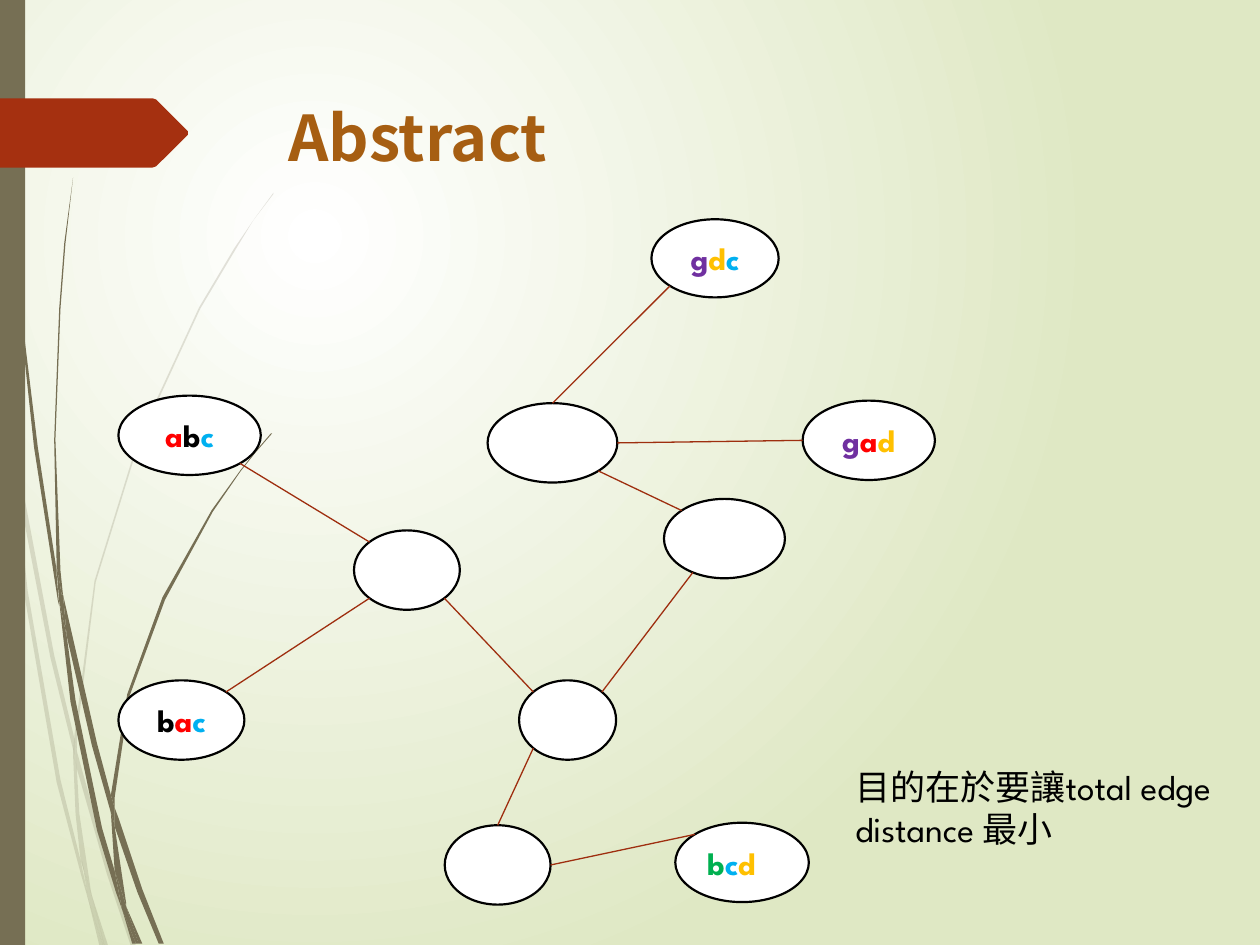
from dataclasses import dataclass
from math import cos, pi, sin

from lxml import etree
from pptx import Presentation
from pptx.dml.color import RGBColor
from pptx.enum.shapes import MSO_CONNECTOR, MSO_SHAPE
from pptx.enum.text import MSO_ANCHOR, MSO_AUTO_SIZE, PP_ALIGN
from pptx.oxml.ns import qn
from pptx.util import Inches, Pt

OVAL, RECT = MSO_SHAPE.OVAL, MSO_SHAPE.RECTANGLE
LINE = MSO_CONNECTOR.STRAIGHT
LEFT, CENTER = PP_ALIGN.LEFT, PP_ALIGN.CENTER
TOP, MIDDLE = MSO_ANCHOR.TOP, MSO_ANCHOR.MIDDLE
FIT, FIXED = MSO_AUTO_SIZE.SHAPE_TO_FIT_TEXT, MSO_AUTO_SIZE.NONE
LATIN, HAN = "League Spartan", "Noto Sans CJK SC"

COLORS = {
    "white": "FFFFFF", "black": "000000", "sage": "DFE8C4", "olive": "766F54",
    "rust": "A53010", "edge": "9E2E0F", "title": "A65E12", "red": "FF0000",
    "blue": "00B0F0", "gold": "FFC000", "violet": "7030A0", "green": "00B050",
}


@dataclass
class Node:
    x: float
    y: float
    w: float
    h: float = 0.63
    word: str = ""
    hues: tuple = ()
    align: PP_ALIGN = CENTER

    def site(self, turn: float) -> tuple:
        angle = turn * pi / 4
        return (self.x + self.w / 2 * (1 - sin(angle)),
                self.y + self.h / 2 * (1 - cos(angle)))


@dataclass
class Edge:
    head: str
    start: float
    tail: str
    end: float


@dataclass
class Clump:
    alpha: int
    blades: list


NODES = {
    "abc": Node(0.94, 3.14, 1.13, word="abc", hues=("red", "black", "blue")),
    "west": Node(2.81, 4.21, 0.84),
    "north": Node(3.87, 3.2, 1.03),
    "bac": Node(0.94, 5.4, 1, word="bac", hues=("black", "red", "blue")),
    "east": Node(5.27, 3.96, 0.96),
    "gdc": Node(5.17, 1.74, 1.01, 0.62, "gdc", ("violet", "gold", "blue")),
    "gad": Node(6.37, 3.18, 1.05, word="gad", hues=("violet", "red", "gold")),
    "hub": Node(4.12, 5.4, 0.77),
    "south": Node(3.53, 6.55, 0.84),
    "bcd": Node(5.36, 6.53, 1.06, word="bcd", hues=("green", "blue", "gold"), align=LEFT),
}

EDGES = [
    Edge("abc", 5, "west", 1),
    Edge("bac", 7, "west", 3),
    Edge("west", 5, "hub", 1),
    Edge("hub", 7, "east", 3.3),
    Edge("north", 5, "east", 1),
    Edge("north", 6, "gad", 2),
    Edge("north", 0, "gdc", 3),
    Edge("hub", 3, "south", 0),
    Edge("south", 6, "bcd", 1),
]

PALE = Clump(20, [
    [(0.08, 3.5), (0.06, 3.22), (0, 2.82), (0, 2.99), (0.07, 3.44)],
    [(0.4, 5.22), (0.59, 5.99), (0.59, 5.86), (0.43, 5.2), (0.1, 3.45), (0.12, 3.76)],
    [(0.64, 6.07), (0.61, 5.96), (0.61, 6.1), (0.85, 6.94), (1.04, 7.51), (1.08, 7.51),
     (0.88, 6.92)],
    [(0.83, 7.51), (0.86, 7.51), (0.73, 7.11)],
    [(0.64, 6.83), (0.48, 6.19), (0.22, 4.69), (0.12, 3.76), (0.08, 3.5), (0.19, 4.7),
     (0.45, 6.21), (0.64, 6.93), (0.7, 7.14), (0.69, 7.07)],
    [(0.58, 5.99), (0.6, 6.46), (0.64, 6.83), (0.67, 6.92), (0.73, 7.11), (0.72, 7.06),
     (0.63, 6.46), (0.61, 6.1), (0.61, 6.08)],
    [(0.61, 5.84), (0.76, 4.62), (1.11, 3.49), (1.59, 2.45), (1.87, 1.98), (2.01, 1.75),
     (2.17, 1.54), (2.17, 1.53), (2.01, 1.75), (1.86, 1.97), (1.58, 2.44), (1.1, 3.48),
     (0.75, 4.61), (0.59, 5.84), (0.59, 5.86), (0.61, 5.96)],
    [(0.7, 7.14), (0.79, 7.51), (0.82, 7.51)],
    [(0.61, 6.08), (0.61, 6.1), (0.61, 5.96), (0.59, 5.86), (0.58, 5.99)],
    [(0.67, 6.92), (0.65, 6.83), (0.69, 7.07), (0.7, 7.14), (0.82, 7.51), (0.83, 7.51),
     (0.73, 7.11)],
])

DARK = Clump(100, [
    [(0.05, 1.1), (0.14, 2.33), (0.27, 3.55), (0.46, 4.77), (0.47, 4.81), (0.45, 4.57),
     (0.45, 4.53), (0.3, 3.55), (0.15, 2.32), (0.06, 1.09), (0.04, 0.48), (0.03, 0),
     (0.02, 0), (0.03, 0.48)],
    [(0.73, 5.92), (0.88, 6.45), (0.88, 6.31), (0.77, 5.9), (0.5, 4.72), (0.53, 5.05)],
    [(0.94, 6.49), (0.91, 6.41), (0.91, 6.56), (1.09, 7.08), (1.26, 7.49), (1.3, 7.49),
     (1.13, 7.06)],
    [(0.91, 6.91), (0.81, 6.57), (0.6, 5.56), (0.53, 5.05), (0.47, 4.77), (0.56, 5.57),
     (0.77, 6.59), (0.92, 7.08), (0.97, 7.22), (0.96, 7.17)],
    [(0.5, 4.72), (0.48, 4.53), (0.44, 3.49), (0.48, 2.45), (0.52, 1.93), (0.58, 1.41),
     (0.51, 1.93), (0.47, 2.45), (0.43, 3.49), (0.45, 4.49), (0.49, 4.72)],
    [(1.1, 7.49), (1.13, 7.49), (1, 7.19)],
    [(0.47, 4.77), (0.53, 5.05), (0.5, 4.72), (0.49, 4.72), (0.45, 4.49), (0.45, 4.53)],
    [(0.91, 6.33), (1.03, 5.52), (1.31, 4.76), (1.69, 4.06), (1.91, 3.74), (2.03, 3.59),
     (2.16, 3.44), (2.15, 3.44), (2.03, 3.58), (1.91, 3.73), (1.68, 4.05), (1.29, 4.74),
     (1.01, 5.51), (0.88, 6.31), (0.91, 6.41)],
    [(0.97, 7.22), (1.05, 7.49), (1.08, 7.49)],
    [(0.88, 6.45), (0.91, 6.91), (0.96, 7.06), (1, 7.19), (1, 7.16), (0.91, 6.56),
     (0.9, 6.51)],
    [(0.88, 6.45), (0.9, 6.51), (0.91, 6.56), (0.91, 6.41), (0.88, 6.31), (0.88, 6.33)],
    [(0.96, 7.06), (0.91, 6.91), (0.96, 7.17), (0.97, 7.22), (1.08, 7.49), (1.1, 7.49),
     (1, 7.19)],
])

FLAG = [(1.49, 1.07), (1.24, 1.32), (1.21, 1.33), (0, 1.33), (0, 0.78), (1.21, 0.78),
        (1.24, 0.79), (1.49, 1.04)]


def rgb(name: str) -> RGBColor:
    return RGBColor.from_string(COLORS[name])


def box(x: float, y: float, w: float, h: float) -> tuple:
    return Inches(x), Inches(y), Inches(w), Inches(h)


def paint(shape, name: str) -> None:
    shape.shadow.inherit = False
    shape.fill.solid()
    shape.fill.fore_color.rgb = rgb(name)
    shape.line.fill.background()


def write(para, text: str, size: int, font: str, hue: str, bold: bool = False) -> None:
    run = para.add_run()
    run.text = text
    run.font.size, run.font.name, run.font.bold = Pt(size), font, bold
    run.font.color.rgb = rgb(hue)
    etree.SubElement(run.font._element, qn("a:ea")).set("typeface", HAN)


def draw_shape(slide, points: list, hue: str, alpha: int = 100) -> None:
    rim = [(Inches(x), Inches(y)) for x, y in points]
    pen = slide.shapes.build_freeform(*rim[0])
    pen.add_line_segments(rim[1:], close=True)
    shape = pen.convert_to_shape()
    paint(shape, hue)
    if alpha < 100:
        tint = shape._element.spPr.find(".//" + qn("a:srgbClr"))
        etree.SubElement(tint, qn("a:alpha")).set("val", str(alpha * 1000))


def draw_node(slide, node: Node) -> None:
    oval = slide.shapes.add_shape(OVAL, *box(node.x, node.y, node.w, node.h))
    paint(oval, "white")
    oval.line.color.rgb, oval.line.width = rgb("black"), Pt(1.25)
    oval.text_frame.vertical_anchor = MIDDLE
    para = oval.text_frame.paragraphs[0]
    para.alignment = node.align
    for char, hue in zip(node.word, node.hues):
        write(para, char, 18, LATIN, hue, True)


def draw_edge(slide, edge: Edge) -> None:
    ends = NODES[edge.head].site(edge.start) + NODES[edge.tail].site(edge.end)
    line = slide.shapes.add_connector(LINE, *map(Inches, ends))
    line.line.color.rgb, line.line.width = rgb("edge"), Pt(0.75)
    etree.SubElement(line._element.spPr, qn("a:effectLst"))


def draw_back(slide) -> None:
    fill = slide.background.fill
    fill.gradient()
    for stop, hue in zip(fill.gradient_stops, ("white", "sage")):
        stop.color.rgb = rgb(hue)
    grad = slide._element.find(".//" + qn("a:gradFill"))
    grad.remove(grad.find(qn("a:lin")))
    ring = etree.Element(qn("a:path"), {"path": "circle"})
    grad.find(qn("a:gsLst")).addnext(ring)
    sides = {"l": "50000", "t": "50000", "r": "100000", "b": "100000"}
    etree.SubElement(ring, qn("a:fillToRect"), sides)
    for clump in (PALE, DARK):
        for blade in clump.blades:
            draw_shape(slide, blade, "olive", clump.alpha)
    paint(slide.shapes.add_shape(RECT, *box(0, 0, 0.2, 7.5)), "olive")
    draw_shape(slide, FLAG, "rust")


def main() -> None:
    deck = Presentation()
    deck.slide_width, deck.slide_height = Inches(10), Inches(7.5)
    slide = deck.slides.add_slide(deck.slide_layouts[5])
    draw_back(slide)
    title = slide.shapes.title
    title.left, title.top, title.width, title.height = box(2.19, 0.73, 7.21, 1.4)
    title.text_frame.vertical_anchor, title.text_frame.auto_size = TOP, FIXED
    title.text_frame.paragraphs[0].alignment = LEFT
    write(title.text_frame.paragraphs[0], "Abstract", 36, HAN, "title", True)
    note = slide.shapes.add_textbox(*box(6.69, 6.03, 3.33, 0.77)).text_frame
    note.word_wrap, note.auto_size = True, FIT
    write(note.paragraphs[0], "目的在於要讓total edge distance 最小", 20, LATIN, "black")
    for node in NODES.values():
        draw_node(slide, node)
    for edge in EDGES:
        draw_edge(slide, edge)
    deck.save("out.pptx")


if __name__ == "__main__":
    main()
